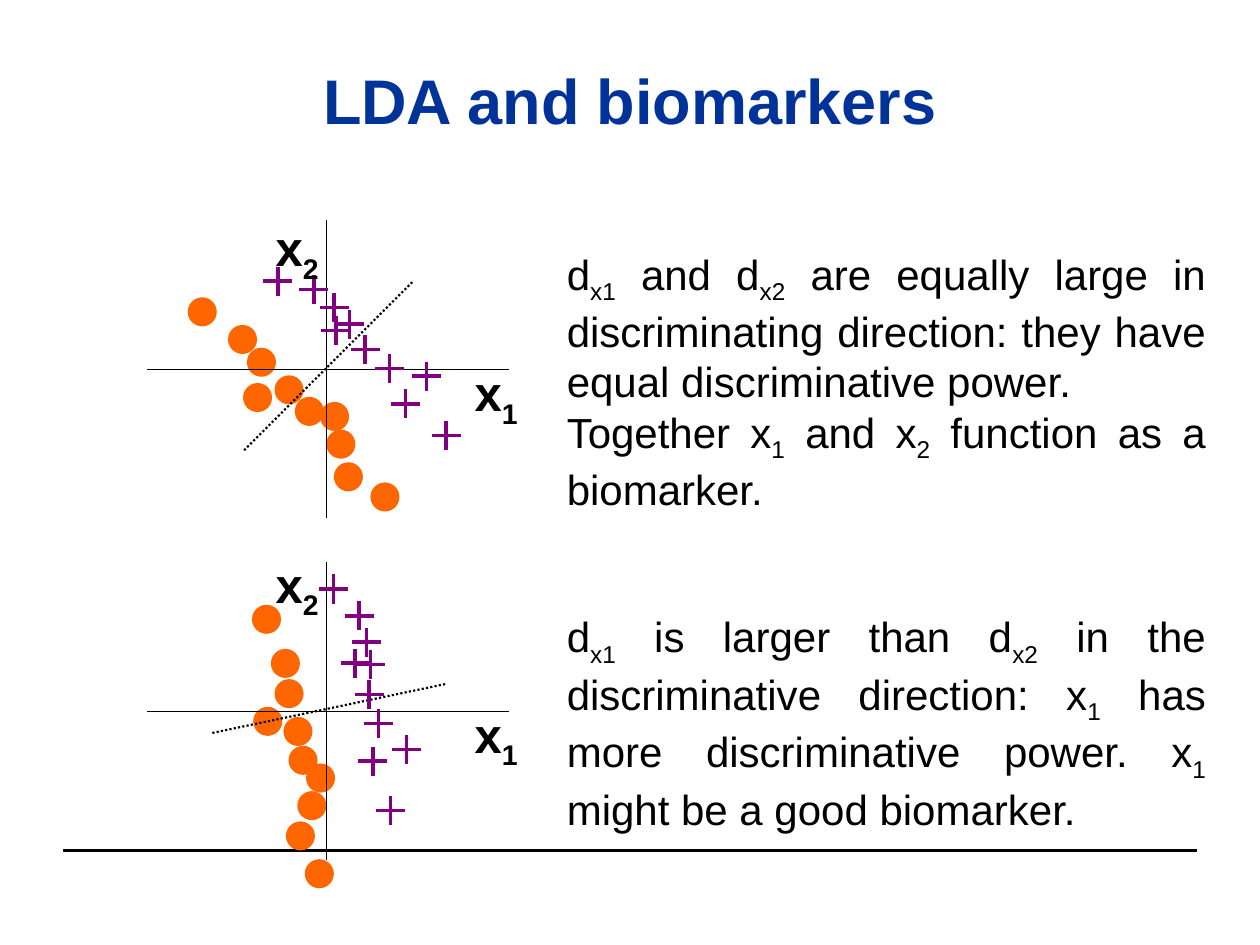
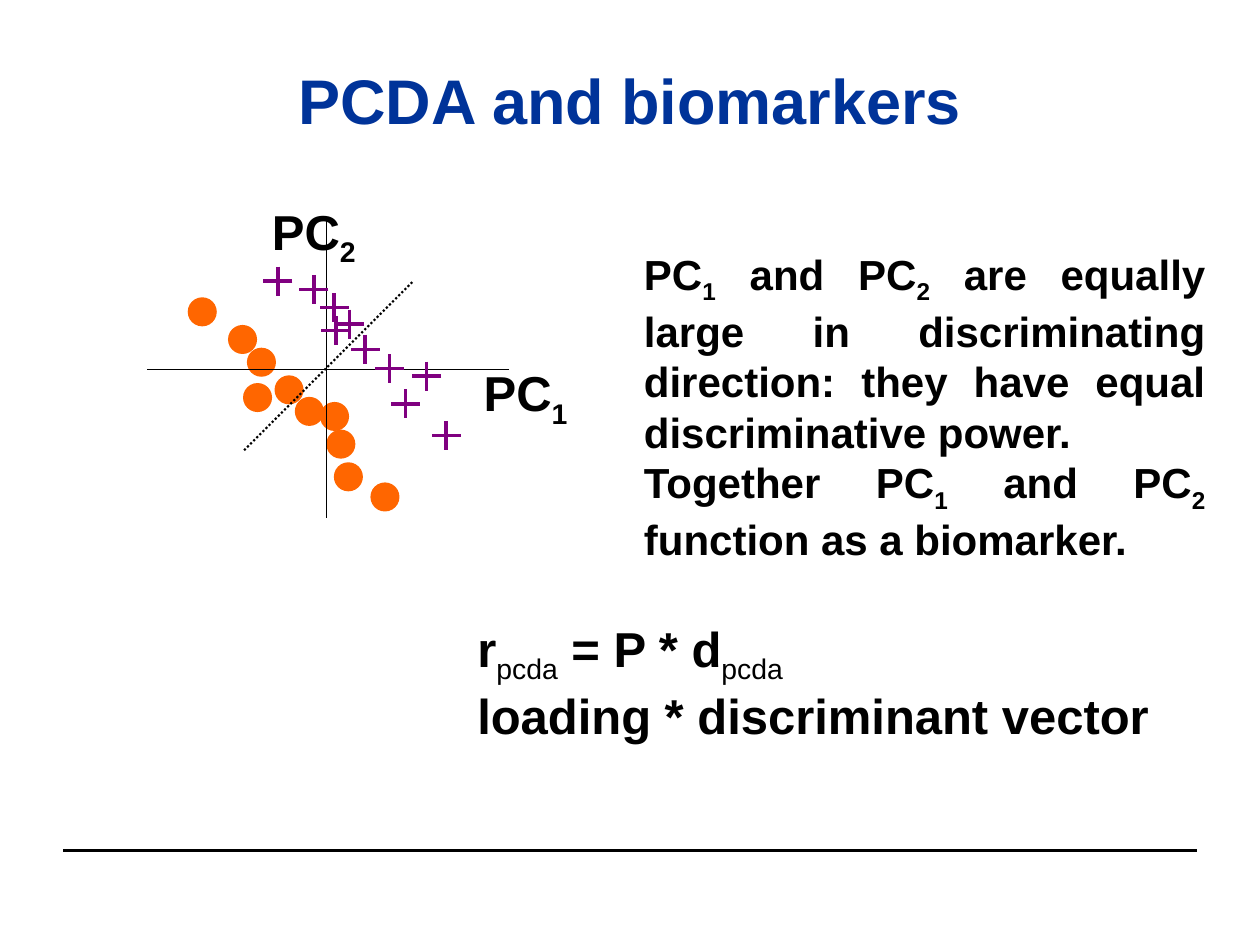
from lxml.etree import SubElement
from pptx import Presentation
from pptx.dml.color import RGBColor
from pptx.enum.dml import MSO_LINE
from pptx.enum.shapes import MSO_CONNECTOR, MSO_SHAPE
from pptx.enum.text import MSO_ANCHOR, MSO_AUTO_SIZE, PP_ALIGN
from pptx.oxml.ns import qn
from pptx.util import Pt

FONT = "Arial"
BLACK = "000000"
TITLE_BLUE = "003399"
ORANGE = "FF6600"
PURPLE = "800080"
MARKER_SIZE = 16.6
AXIS_X = 186.5
AXIS_LEFT, AXIS_RIGHT = 84.2, 290.9
AXIS_HALF_HEIGHT = 85.3

DIAGONAL_CLASSES = {
    "center_y": 211,
    "circles": [(115.6, 178.2), (138.6, 194), (149.4, 207), (147.2, 227.2), (165.2, 222.8),
                (176.8, 235.1), (191.2, 238), (194.8, 253.8), (199.1, 272.5), (220, 284)],
    "direction": (235.6, 161.2, 138.8, 258),
    "crosses": [(158.8, 160.7), (179.3, 165.4), (190.9, 175.8), (192, 189), (208.6, 199.6),
                (222.5, 210.7), (243.7, 214.9), (231.6, 230.8), (254.9, 248.8), (199.8, 185.2)],
}
STEEP_CLASSES = {
    "center_y": 406.3,
    "circles": [(152.3, 353.9), (163.1, 379.1), (165.2, 396.4), (153, 412.2), (170.3, 418),
                (173.2, 434.5), (183.2, 444.6), (178.2, 460.4), (171.7, 477.7), (182.5, 499.3)],
    "direction": (254.4, 390.9, 120.6, 419),
    "crosses": [(190.5, 336.6), (205.2, 352), (209.4, 367), (202.9, 378.9), (211, 396.9),
                (216.4, 413.4), (232.2, 428.4), (213.1, 434.9), (223.2, 463.1), (211.7, 379.6)],
}


def color(hex_string):
    return RGBColor.from_string(hex_string)


def add_line(shapes, start_x, start_y, end_x, end_y, line_color=BLACK, width=2, dash=None):
    line = shapes.add_connector(MSO_CONNECTOR.STRAIGHT, Pt(start_x), Pt(start_y), Pt(end_x), Pt(end_y))
    line.line.color.rgb = color(line_color)
    line.line.width = Pt(width)
    if dash:
        line.line.dash_style = dash
    SubElement(line._element.spPr, qn("a:effectLst"))


def add_circle(shapes, center_x, center_y):
    radius = MARKER_SIZE / 2
    circle = shapes.add_shape(MSO_SHAPE.OVAL, Pt(center_x - radius), Pt(center_y - radius),
                              Pt(MARKER_SIZE), Pt(MARKER_SIZE))
    circle.shadow.inherit = False
    circle.fill.solid()
    circle.fill.fore_color.rgb = color(ORANGE)
    circle.line.fill.background()


def add_cross(shapes, center_x, center_y):
    arm = MARKER_SIZE / 2
    add_line(shapes, center_x + arm, center_y, center_x - arm, center_y, PURPLE)
    add_line(shapes, center_x, center_y - arm, center_x, center_y + arm, PURPLE)


def add_runs(paragraph, text, size, text_color, bold, bold_subscripts):
    for index, part in enumerate(text.split("|")):
        if not part:
            continue
        is_subscript = index % 2 == 1
        run = paragraph.add_run()
        run.text = part
        run.font.name = FONT
        run.font.size = Pt(size)
        run.font.bold = bold and (bold_subscripts or not is_subscript)
        run.font.color.rgb = color(text_color)
        if is_subscript:
            run._r.get_or_add_rPr().set("baseline", "-25000")


def add_text(shapes, box, lines, size, text_color=BLACK, bold=False, align=PP_ALIGN.LEFT,
             wrap=True, grow=True, anchor=MSO_ANCHOR.TOP, bold_subscripts=True):
    frame = shapes.add_textbox(*[Pt(length) for length in box]).text_frame
    frame.word_wrap = wrap
    frame.auto_size = MSO_AUTO_SIZE.SHAPE_TO_FIT_TEXT if grow else MSO_AUTO_SIZE.NONE
    frame.vertical_anchor = anchor
    for index, text in enumerate(lines):
        paragraph = frame.add_paragraph() if index else frame.paragraphs[0]
        paragraph.alignment = align
        add_runs(paragraph, text, size, text_color, bold, bold_subscripts)


def add_axis_label(shapes, left, top, width, text):
    add_text(shapes, (left, top, width, 45.4), [text], 28, bold=True, wrap=False, grow=False)


def add_explanation(slide, box, lines, bold=False):
    add_text(slide.shapes, box, lines, 24, bold=bold, align=PP_ALIGN.JUSTIFY)


def add_scatter(slide, classes):
    shapes = slide.shapes.add_group_shape().shapes
    center_y = classes["center_y"]
    for center in classes["circles"]:
        add_circle(shapes, *center)
    add_line(shapes, AXIS_X, center_y - AXIS_HALF_HEIGHT, AXIS_X, center_y + AXIS_HALF_HEIGHT, width=0.5)
    add_line(shapes, *classes["direction"], width=1.25, dash=MSO_LINE.ROUND_DOT)
    add_line(shapes, AXIS_RIGHT, center_y, AXIS_LEFT, center_y, width=0.5)
    for center in classes["crosses"]:
        add_cross(shapes, *center)


def add_titled_slide(presentation, title):
    slide = presentation.slides.add_slide(presentation.slide_layouts[6])
    add_line(slide.shapes, 36, 486, 684, 486)
    add_text(slide.shapes, (54, 11.8, 612, 90), [title], 36, TITLE_BLUE, bold=True,
             align=PP_ALIGN.CENTER, grow=False, anchor=MSO_ANCHOR.MIDDLE)
    return slide


def build_lda_slide(presentation):
    slide = add_titled_slide(presentation, "LDA and biomarkers")
    add_explanation(slide, (316.8, 138.2, 379.4, 159.1), [
        "d|x1| and d|x2| are equally large in discriminating direction: "
        "they have equal discriminative power.",
        "Together x|1| and x|2| function as a biomarker.",
    ])
    add_explanation(slide, (316.8, 345.6, 379.4, 134.6), [
        "d|x1| is larger than d|x2| in the discriminative direction: "
        "x|1| has more discriminative power. x|1| might be a good biomarker.",
    ])
    for classes, label_top in ((DIAGONAL_CLASSES, 121), (STEEP_CLASSES, 313.2)):
        add_scatter(slide, classes)
        add_axis_label(slide.shapes, 264.2, classes["center_y"] - 7.2, 42, "x|1")
        add_axis_label(slide.shapes, 150.5, label_top, 42, "x|2")


def build_pcda_slide(presentation):
    slide = add_titled_slide(presentation, "PCDA and biomarkers")
    add_explanation(slide, (360.9, 138.2, 335, 187.9), [
        "PC|1| and PC|2| are equally large in discriminating direction: "
        "they have equal discriminative power.",
        "Together PC|1| and PC|2| function as a biomarker.",
    ], bold=True)
    add_scatter(slide, DIAGONAL_CLASSES)
    add_axis_label(slide.shapes, 269.3, 203.8, 68, "PC|1")
    add_axis_label(slide.shapes, 148.3, 111.6, 68, "PC|2")
    add_text(slide.shapes, (265.7, 349.9, 398.2, 79.2),
             ["r|pcda| = P * d|pcda", "loading * discriminant vector"],
             28, bold=True, wrap=False, bold_subscripts=False)


def main():
    presentation = Presentation()
    presentation.slide_width = Pt(720)
    presentation.slide_height = Pt(540)
    build_lda_slide(presentation)
    build_pcda_slide(presentation)
    presentation.save("out.pptx")


if __name__ == "__main__":
    main()
